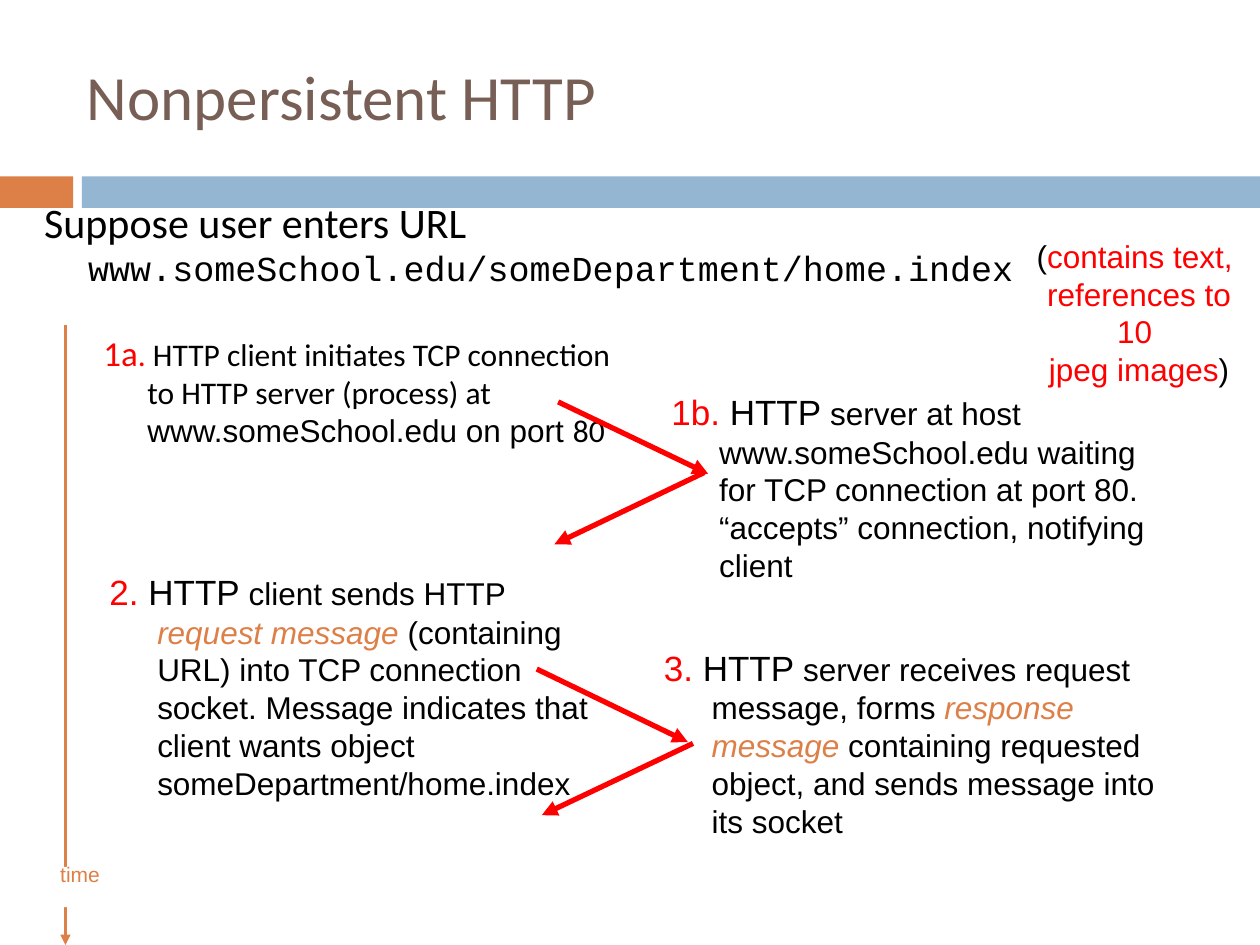
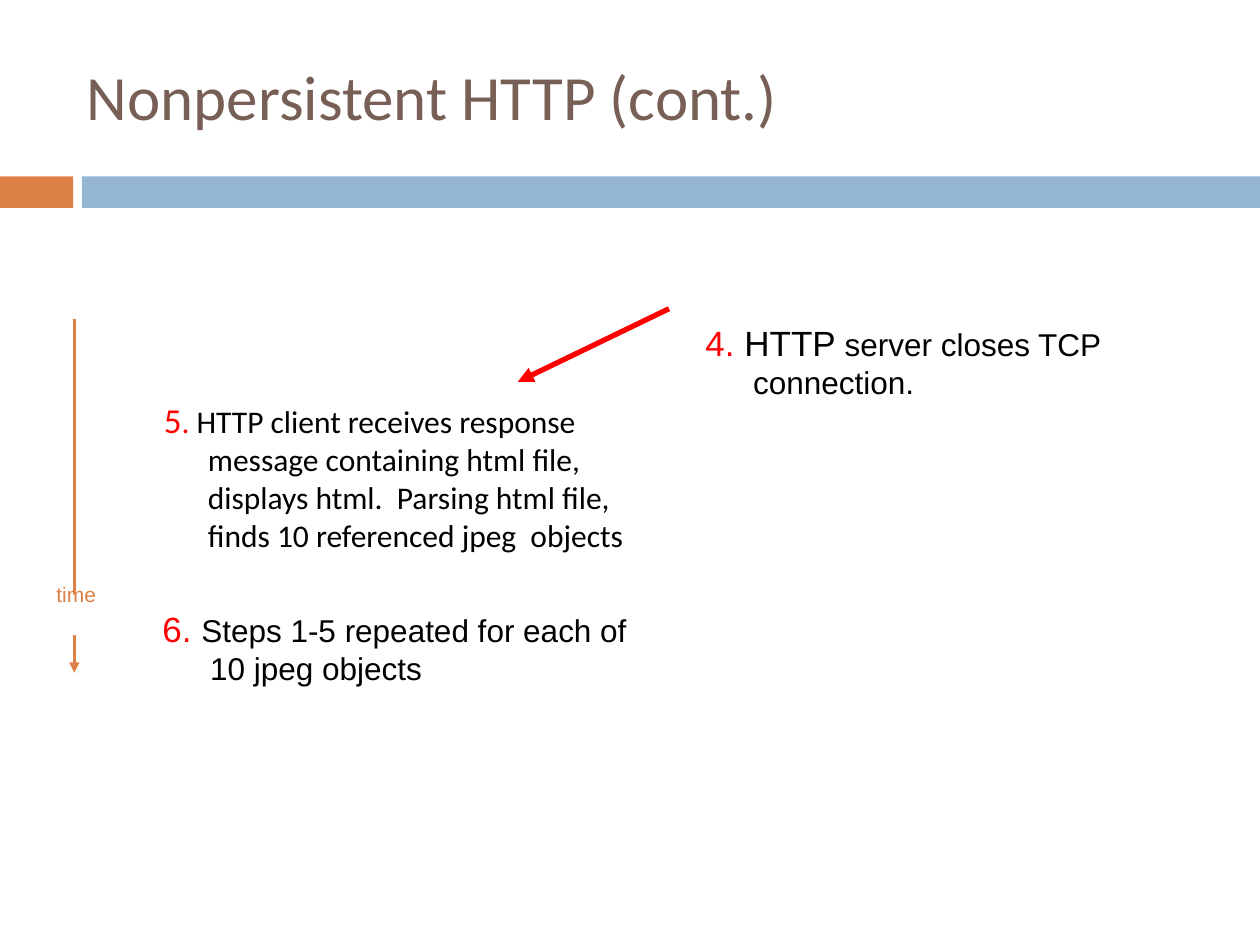
from dataclasses import dataclass

from lxml import etree
from pptx import Presentation
from pptx import util as u
from pptx.dml import color
from pptx.enum import shapes, text
from pptx.oxml import ns


# Colours, fonts and type sizes
@dataclass(frozen=True)
class Theme:
    ink: str = "000000"
    red: str = "FF0000"
    rust: str = "DD8047"
    blue: str = "94B6D2"
    brown: str = "775F55"
    white: str = "FFFFFF"
    sans: str = "Arial"
    head: str = "Calibri"
    mono: str = "Courier New"
    title: int = 36
    lead: int = 24
    large: int = 20
    base: int = 18
    small: int = 12


T = Theme()


@dataclass(frozen=True)
class Span:
    text: str
    size: int = T.base
    tint: str = T.ink
    font: str | None = None
    slant: bool = False


@dataclass(frozen=True)
class Area:
    left: float
    top: float
    width: float
    height: float


@dataclass(frozen=True)
class Block:
    area: Area
    lines: list[list[Span]]
    font: str | None = T.sans
    hang: float = 0.38
    before: int = 0
    align: text.PP_ALIGN = text.PP_ALIGN.LEFT
    wrap: bool = True
    grow: bool = False


@dataclass(frozen=True)
class Arrow:
    start: tuple[float, float]
    end: tuple[float, float]
    tint: str = T.red
    weight: float = 3


@dataclass(frozen=True)
class Clock:
    line: Arrow
    patch: Area
    label: Area


@dataclass(frozen=True)
class Page:
    title: str
    layout: int
    bodies: list[Block]
    clock: Clock
    notes: list[Block]
    arrows: list[Arrow]


def rgb(tint: str) -> color.RGBColor:
    return color.RGBColor.from_string(tint)


def place(shape, area: Area) -> None:
    shape.left, shape.top = u.Inches(area.left), u.Inches(area.top)
    shape.width, shape.height = u.Inches(area.width), u.Inches(area.height)


def add_rect(slide, area: Area, tint: str):
    rect = slide.shapes.add_shape(shapes.MSO_SHAPE.RECTANGLE, 0, 0, 0, 0)
    place(rect, area)
    rect.shadow.inherit = False
    rect.fill.solid()
    rect.fill.fore_color.rgb = rgb(tint)
    rect.line.fill.background()
    return rect


def add_arrow(slide, arrow: Arrow) -> None:
    ends = [u.Inches(n) for n in (*arrow.start, *arrow.end)]
    line = slide.shapes.add_connector(shapes.MSO_CONNECTOR.STRAIGHT, *ends)
    line.line.color.rgb = rgb(arrow.tint)
    line.line.width = u.Pt(arrow.weight)
    props = line.element.spPr
    etree.SubElement(props.find(ns.qn("a:ln")), ns.qn("a:tailEnd"), type="triangle")
    etree.SubElement(props, ns.qn("a:effectLst"))


def fill_text(shape, block: Block) -> None:
    place(shape, block.area)
    frame = shape.text_frame
    frame.word_wrap = block.wrap
    size = text.MSO_AUTO_SIZE
    frame.auto_size = size.SHAPE_TO_FIT_TEXT if block.grow else size.NONE
    for i, spans in enumerate(block.lines):
        para = frame.add_paragraph() if i else frame.paragraphs[0]
        para.alignment = block.align
        para.space_before = u.Pt(block.before)
        props = para._p.get_or_add_pPr()
        props.set("marL", str(u.Inches(block.hang)))
        props.set("indent", str(-u.Inches(block.hang)))
        etree.SubElement(props, ns.qn("a:buNone"))
        if block.font:
            para.font.name = block.font
        for span in spans:
            run = para.add_run()
            run.text = span.text
            run.font.size = u.Pt(span.size)
            run.font.color.rgb = rgb(span.tint)
            if span.font:
                run.font.name = span.font
            if span.slant:
                run.font.italic = True


def add_note(slide, block: Block) -> None:
    fill_text(slide.shapes.add_textbox(0, 0, 0, 0), block)


# Bands and title shared by all slides
BANDS = [(Area(0, 1.4, 0.58, 0.25), T.rust), (Area(0.65, 1.4, 9.35, 0.25), T.blue)]


def add_frame(slide, title: str) -> None:
    for area, tint in BANDS:
        band = add_rect(slide, area, tint)
        slide.shapes.element.insert(2, band.element)  # behind the text
    head = slide.shapes.title
    place(head, Area(0.59, 0.28, 8.5, 0.95))
    frame = head.text_frame
    frame.text = title
    frame.auto_size = text.MSO_AUTO_SIZE.NONE
    frame.vertical_anchor = text.MSO_ANCHOR.MIDDLE
    para = frame.paragraphs[0]
    para.alignment = text.PP_ALIGN.LEFT
    para.font.name = T.head
    para.font.size = u.Pt(T.title)
    para.font.color.rgb = rgb(T.brown)


# Time axis: a line broken by its label
def add_clock(slide, clock: Clock) -> None:
    add_arrow(slide, clock.line)
    add_rect(slide, clock.patch, T.white)
    label = [[Span("time", T.small, T.rust)]]
    add_note(slide, Block(clock.label, label, hang=0, wrap=False, grow=True,
                          align=text.PP_ALIGN.CENTER))


def axis(x: float, top: float, end: float) -> Arrow:
    return Arrow((x, top), (x, end), T.rust, 1.5)


def step(left: float, top: float, height: float, mark: str, *spans: Span) -> Block:
    first = Span(mark, T.large, T.red)
    return Block(Area(left, top, 4.17, height), [[first, *spans]])


def body(area: Area, *spans: Span, font: str | None = T.head) -> Block:
    return Block(area, [list(spans)], font, hang=0.35, before=7)


def term(words: str) -> Span:
    return Span(words, tint=T.rust, slant=True)


HTTP = Span(" HTTP", T.large)

PAGES = [
    Page(
        "Nonpersistent HTTP", 3,
        [
            body(Area(0.25, 1.51, 8.88, 0.51),
                 Span("Suppose user enters URL ", T.lead, font=T.head),
                 Span("www.someSchool.edu/someDepartment/home.index", T.large,
                      font=T.mono), font=None),
            body(Area(0.72, 2.58, 4.31, 2.08),
                 Span("1a", T.large, T.red, T.head),
                 Span(".", tint=T.red, font=T.head),
                 Span(" HTTP client initiates TCP connection to HTTP server "
                      "(process) at ", font=T.head),
                 Span("www.someSchool.edu on port ", font=T.sans),
                 Span("80", font=T.head), font=None),
        ],
        Clock(axis(0.52, 2.58, 7.5), Area(0.26, 6.88, 0.72, 0.32),
              Area(0.19, 6.79, 0.89, 0.5)),
        [
            step(0.77, 4.48, 1.18, "2.", HTTP, Span(" client sends HTTP "),
                 term("request message"),
                 Span(" (containing URL) into TCP connection socket. Message "
                      "indicates that client wants object "
                      "someDepartment/home.index")),
            step(5.23, 3.05, 1.65, "1b.", HTTP,
                 Span(" server at host www.someSchool.edu waiting for TCP "
                      "connection at port 80.  “accepts” connection, "
                      "notifying client")),
            step(5.17, 5.08, 1.97, "3.", HTTP,
                 Span(" server receives request message, forms "),
                 term("response message"),
                 Span(" containing requested object, and sends message into "
                      "its socket")),
            Block(Area(8.08, 1.83, 1.92, 1.31),
                  [[Span("("), Span("contains text, ", tint=T.red)],
                   [Span("references to 10 ", tint=T.red)],
                   [Span("jpeg images", tint=T.red), Span(")")]],
                  hang=0, align=text.PP_ALIGN.CENTER, grow=True),
        ],
        [
            Arrow((4.43, 3.19), (5.62, 3.76)),
            Arrow((5.59, 3.75), (4.4, 4.32)),
            Arrow((4.26, 5.31), (5.46, 5.89)),
            Arrow((5.5, 5.9), (4.3, 6.47)),
        ],
    ),
    Page(
        "Nonpersistent HTTP (cont.)", 1,
        [
            body(Area(1.2, 3.11, 4.17, 1.68),
                 Span("5", T.large, T.red), Span(".", tint=T.red),
                 Span(" HTTP client receives response message containing html "
                      "file, displays html.  Parsing html file, finds 10 "
                      "referenced jpeg  objects")),
        ],
        Clock(axis(0.59, 2.53, 5.34), Area(0.33, 4.72, 0.38, 0.32),
              Area(0.16, 4.57, 0.89, 0.5)),
        [
            step(1.19, 4.77, 0.73, "6. ",
                 Span("Steps 1-5 repeated for each of 10 jpeg objects")),
            step(5.5, 2.5, 0.8, "4.", HTTP, Span(" server closes TCP connection.")),
        ],
        [Arrow((5.31, 2.45), (4.11, 3.03))],
    ),
]


def add_page(deck, page: Page) -> None:
    slide = deck.slides.add_slide(deck.slide_layouts[page.layout])
    add_frame(slide, page.title)
    for spot, block in enumerate(page.bodies, 1):
        fill_text(slide.placeholders[spot], block)
    add_clock(slide, page.clock)
    for block in page.notes:
        add_note(slide, block)
    for arrow in page.arrows:
        add_arrow(slide, arrow)


def main() -> None:
    deck = Presentation()
    deck.slide_width, deck.slide_height = u.Inches(10), u.Inches(7.5)
    for page in PAGES:
        add_page(deck, page)
    deck.save("out.pptx")


if __name__ == "__main__":
    main()
